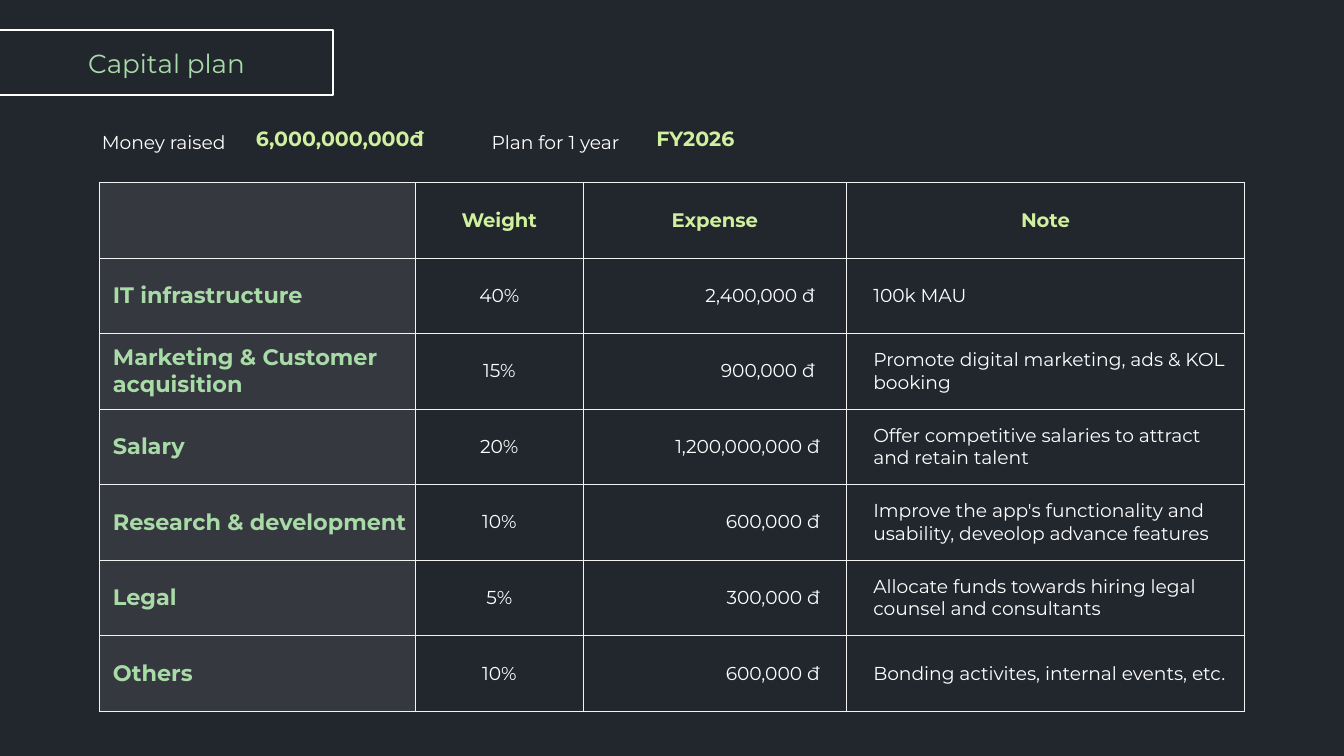
"""Build the capital plan slide with its budget table."""
from lxml.etree import SubElement
from pptx import Presentation
from pptx.dml.color import RGBColor as RGB
from pptx.enum.shapes import MSO_SHAPE as Shape
from pptx.enum.text import MSO_ANCHOR as Anchor, MSO_AUTO_SIZE as Auto, PP_ALIGN as Align
from pptx.oxml import parse_xml
from pptx.oxml.ns import nsdecls, qn
from pptx.util import Inches, Pt

HUES = {"back": "22262D", "mint": "A8DBA7", "lime": "D0F09F",
        "white": "FFFFFF", "edge": "F2F2F2", "tint": "DDDDDD"}
LEFT, MID, RIGHT = Align.LEFT, Align.CENTER, Align.RIGHT

deck = Presentation()
deck.slide_width = Inches(10)
deck.slide_height = deck.slide_width * 9 // 16
slide = deck.slides.add_slide(deck.slide_layouts[5])
slide.background.fill.solid()
slide.background.fill.fore_color.rgb = RGB.from_string(HUES["back"])


def place(left, top, wide, high):
    """Turn percentages of the slide into lengths."""
    sides = (deck.slide_width, deck.slide_height) * 2
    return [int(side * part / 100) for side, part in zip(sides, (left, top, wide, high))]


def write(frame, text, size=10, hue="white", bold=False, align=LEFT, space=None):
    """Put one formatted paragraph into a text frame."""
    frame.word_wrap = True
    para = frame.paragraphs[0]
    para.alignment = align
    para.line_spacing = space
    run = para.add_run()
    run.text = text
    font = run.font
    font.name, font.size, font.bold = "Montserrat", Pt(size), bold
    font.color.rgb = RGB.from_string(HUES[hue])


frame = slide.shapes.add_shape(Shape.RECTANGLE, *place(-0.7, 3.95, 25.5, 8.65))
frame.shadow.inherit = False
frame.fill.background()
frame.line.color.rgb = RGB.from_string(HUES["white"])
frame.line.width = Pt(1)

title = slide.shapes.title
title.left, title.top, title.width, title.height = place(0, 5.87, 24.8, 5)
title.text_frame.vertical_anchor = Anchor.MIDDLE
title.text_frame.auto_size = Auto.NONE
write(title.text_frame, "Capital plan", size=14, hue="mint", align=MID)

facts = [("Money raised", 6.6, 11.45, "6,000,000,000đ"),
         ("Plan for 1 year", 35.6, 12.25, "FY2026")]
for label, left, wide, value in facts:
    note = slide.shapes.add_textbox(*place(left, 15.5, wide, 5.35)).text_frame
    write(note, label, space=1.3)
    note.auto_size = Auto.SHAPE_TO_FIT_TEXT
    total = slide.shapes.add_textbox(*place(left + wide, 15.9, 17.6, 4.8)).text_frame
    total.margin_top = total.margin_bottom = Inches(0.1)
    total.vertical_anchor = Anchor.MIDDLE
    write(total, value, size=11, hue="lime", bold=True)

rows = [
    ("", "Weight", "Expense", "Note"),
    ("IT infrastructure", "40%", "2,400,000 đ ", "100k MAU"),
    ("Marketing & Customer acquisition", "15%", "900,000 đ ",
     "Promote digital marketing, ads & KOL booking"),
    ("Salary", "20%", "1,200,000,000 đ",
     "Offer competitive salaries to attract and retain talent"),
    ("Research & development", "10%", "600,000 đ",
     "Improve the app's functionality and usability, deveolop advance features"),
    ("Legal", "5%", "300,000 đ",
     "Allocate funds towards hiring legal counsel and consultants"),
    ("Others", "10%", "600,000 đ", "Bonding activites, internal events, etc."),
]
cols = [(23.5, LEFT, 0.1, 0.03), (12.5, MID, 0.03, 0.03),
        (19.58, RIGHT, 0.03, 0.2), (29.62, LEFT, 0.2, 0.03)]
table = slide.shapes.add_table(len(rows), len(cols), *place(7.4, 24.12, 85.2, 70)).table
table.first_row = table.horz_banding = False
for col, (wide, *_) in zip(table.columns, cols):
    col.width = int(deck.slide_width * wide / 100)

for r, row in enumerate(rows):
    for c, (text, (_, align, left, right)) in enumerate(zip(row, cols)):
        cell = table.cell(r, c)
        cell.vertical_anchor = Anchor.MIDDLE
        cell.margin_top = cell.margin_bottom = Inches(0.02)
        look = {}
        if r == 0:
            align, left, right = MID, 0.03, 0.03
            look = {"size": 10.5, "hue": "lime", "bold": True}
        elif c == 0:
            look = {"size": 12, "hue": "mint", "bold": True}
        cell.margin_left, cell.margin_right = Inches(left), Inches(right)
        if text:
            write(cell.text_frame, text, align=align, **look)
        props = cell._tc.get_or_add_tcPr()
        if c == 0:
            cell.fill.solid()
            cell.fill.fore_color.rgb = RGB.from_string(HUES["tint"])
            SubElement(props.find(".//" + qn("a:srgbClr")), qn("a:alpha"), val="10000")
        else:
            cell.fill.background()
        for spot, side in enumerate("LRTB"):
            props.insert(spot, parse_xml(
                f'<a:ln{side} {nsdecls("a")} w="{Pt(0.25)}"><a:solidFill>'
                f'<a:srgbClr val="{HUES["edge"]}"/></a:solidFill></a:ln{side}>'))

deck.save("out.pptx")
